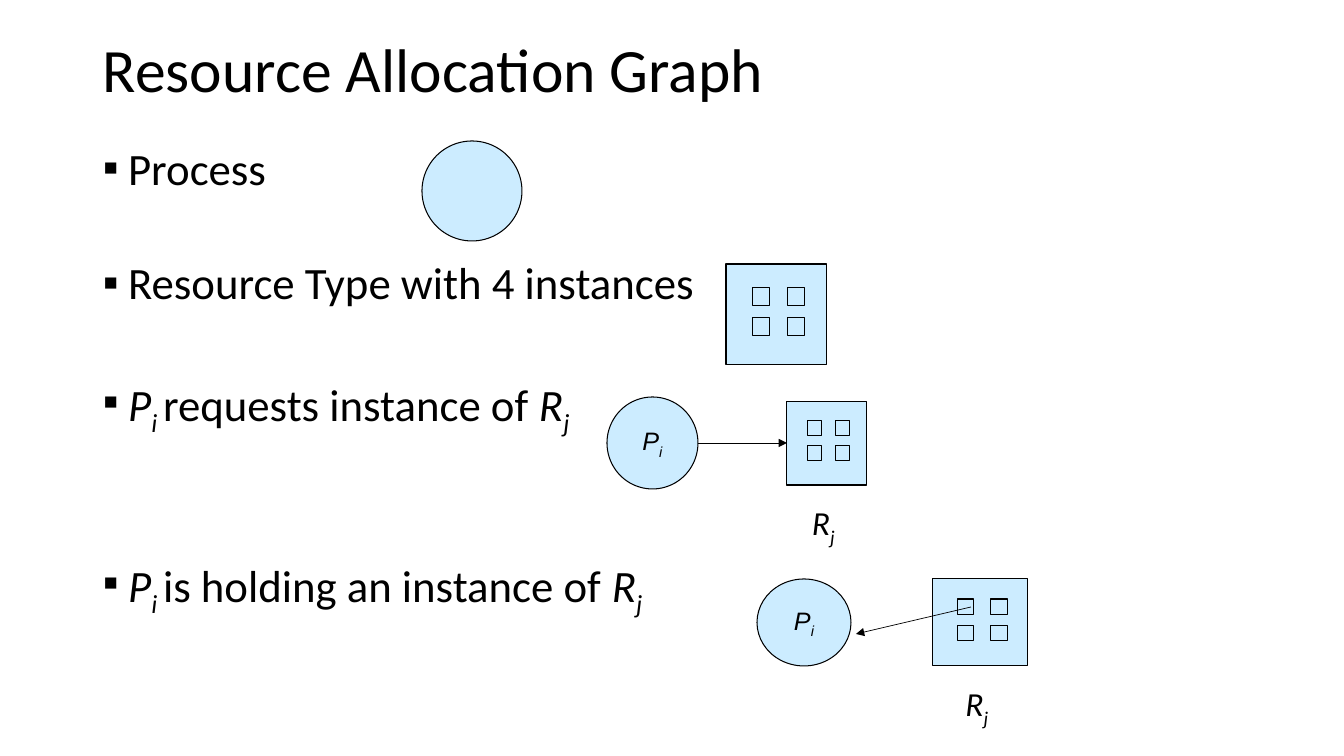
from pptx import Presentation, util as u
from pptx.dml.color import RGBColor
from pptx.enum import shapes, text
from pptx.oxml.ns import qn
from lxml import etree

PX = 914400 / 100.8
BLACK, PALE_BLUE = "000000", "CCECFF"

# A run is (words, style): "n" normal, "i" italic, "s" italic subscript.
TITLE = [("Resource Allocation Graph", "n")]
PROCESS_LABEL = [("P", "i"), ("i", "s")]
RESOURCE_LABEL = [("R", "i"), ("j", "s")]
BULLETS = [  # space before in points, runs
    (10, [("Process", "n")]),
    (51, [("Resource Type with 4 instances", "n")]),
    (53, [("P", "i"), ("i ", "s"), ("requests instance of ", "n")] + RESOURCE_LABEL),
    (94, [("P", "i"), ("i ", "s"), ("is holding an instance of ", "n")] + RESOURCE_LABEL),
]
TITLE_BOX = (93, 0, 1159, 146)
BULLETS_BOX = (93, 146, 1159, 610)

# Boxes are left, top, width, height in px.
PROCESSES = [
    ((422, 141, 100, 100), []),
    ((607, 397, 91, 92), PROCESS_LABEL),
    ((757, 579, 94, 87), PROCESS_LABEL),
]
RESOURCES = [
    ((726, 264, 101, 101), []),
    ((787, 401, 80, 84), RESOURCE_LABEL),
    ((933, 579, 95, 87), RESOURCE_LABEL),
]
REQUEST_START = (698, 443)
HOLDING_ENDS = (971, 607, 856, 634)

# Instance squares as fractions of their resource box
INSTANCE_COLUMNS = (0.26, 0.61)
INSTANCE_ROWS = (0.23, 0.53)
INSTANCE_SIZE = (0.17, 0.18)


def emu(*lengths):
    return [round(length * PX) for length in lengths]


def colour(hex_string):
    return RGBColor.from_string(hex_string)


def add_runs(paragraph, runs, size, font="Calibri"):
    for words, style in runs:
        run = paragraph.add_run()
        run.text = words
        run.font.name, run.font.size = font, u.Pt(size)
        run.font.italic = style != "n"
        run.font.color.rgb = colour(BLACK)
        if style == "s":
            run.font._element.set("baseline", "-25000")


def add_text_frame(box):
    frame = slide.shapes.add_textbox(*emu(*box)).text_frame
    frame.word_wrap = True
    return frame


def add_outlined(parent, kind, box):
    shape = parent.add_shape(kind, *emu(*box))
    shape.shadow.inherit = False
    shape.fill.solid()
    shape.fill.fore_color.rgb = colour(PALE_BLUE)
    shape.line.color.rgb = colour(BLACK)
    shape.line.width = u.Pt(0.75)
    return shape


def add_process(box, label):
    circle = add_outlined(slide.shapes, shapes.MSO_SHAPE.OVAL, box)
    if label:
        frame = circle.text_frame
        frame.word_wrap = False
        frame.vertical_anchor = text.MSO_ANCHOR.MIDDLE
        frame.paragraphs[0].alignment = text.PP_ALIGN.CENTER
        add_runs(frame.paragraphs[0], label, 18, "Arial")


def add_resource(box, label):
    """Draw a resource with its four instances; return the outer rectangle."""
    left, top, width, height = box
    group = slide.shapes.add_group_shape().shapes
    resource = add_outlined(group, shapes.MSO_SHAPE.RECTANGLE, box)
    for row in INSTANCE_ROWS:
        for column in INSTANCE_COLUMNS:
            instance = (left + column * width, top + row * height,
                        INSTANCE_SIZE[0] * width, INSTANCE_SIZE[1] * height)
            add_outlined(group, shapes.MSO_SHAPE.RECTANGLE, instance)
    if label:
        frame = add_text_frame((left + width / 2 - 15, top + height + 17, 50, 41))
        frame.margin_left = frame.margin_right = 0
        frame.margin_top = frame.margin_bottom = 0
        add_runs(frame.paragraphs[0], label, 24)
    return resource


def add_arrow(x1, y1, x2, y2):
    arrow = slide.shapes.add_connector(shapes.MSO_CONNECTOR.STRAIGHT, *emu(x1, y1, x2, y2))
    arrow.line.color.rgb = colour(BLACK)
    arrow.line.width = u.Pt(0.5)
    etree.SubElement(arrow.line._get_or_add_ln(), qn("a:tailEnd"), type="triangle")
    etree.SubElement(arrow._element.spPr, qn("a:effectLst"))
    return arrow


def add_bullet(paragraph):
    properties = paragraph._p.get_or_add_pPr()
    properties.set("marL", str(u.Inches(0.25)))
    properties.set("indent", str(-u.Inches(0.25)))
    etree.SubElement(properties, qn("a:buFont"), typeface="Arial")
    etree.SubElement(properties, qn("a:buChar"), char="▪")


deck = Presentation()
deck.slide_width, deck.slide_height = emu(1344, 756)
slide = deck.slides.add_slide(deck.slide_layouts[6])

title = add_text_frame(TITLE_BOX)
title.vertical_anchor = text.MSO_ANCHOR.MIDDLE
title.paragraphs[0].line_spacing = 0.9
add_runs(title.paragraphs[0], TITLE, 44)

bullets = add_text_frame(BULLETS_BOX)
for index, (space, runs) in enumerate(BULLETS):
    bullet = bullets.add_paragraph() if index else bullets.paragraphs[0]
    bullet.line_spacing = 0.8
    bullet.space_before = u.Pt(space)
    add_bullet(bullet)
    add_runs(bullet, runs, 32)

for box, label in PROCESSES:
    add_process(box, label)
_, requested, _ = [add_resource(box, label) for box, label in RESOURCES]

request = add_arrow(*REQUEST_START, *REQUEST_START)
request.end_connect(requested, 1)
add_arrow(*HOLDING_ENDS)

deck.save("out.pptx")
